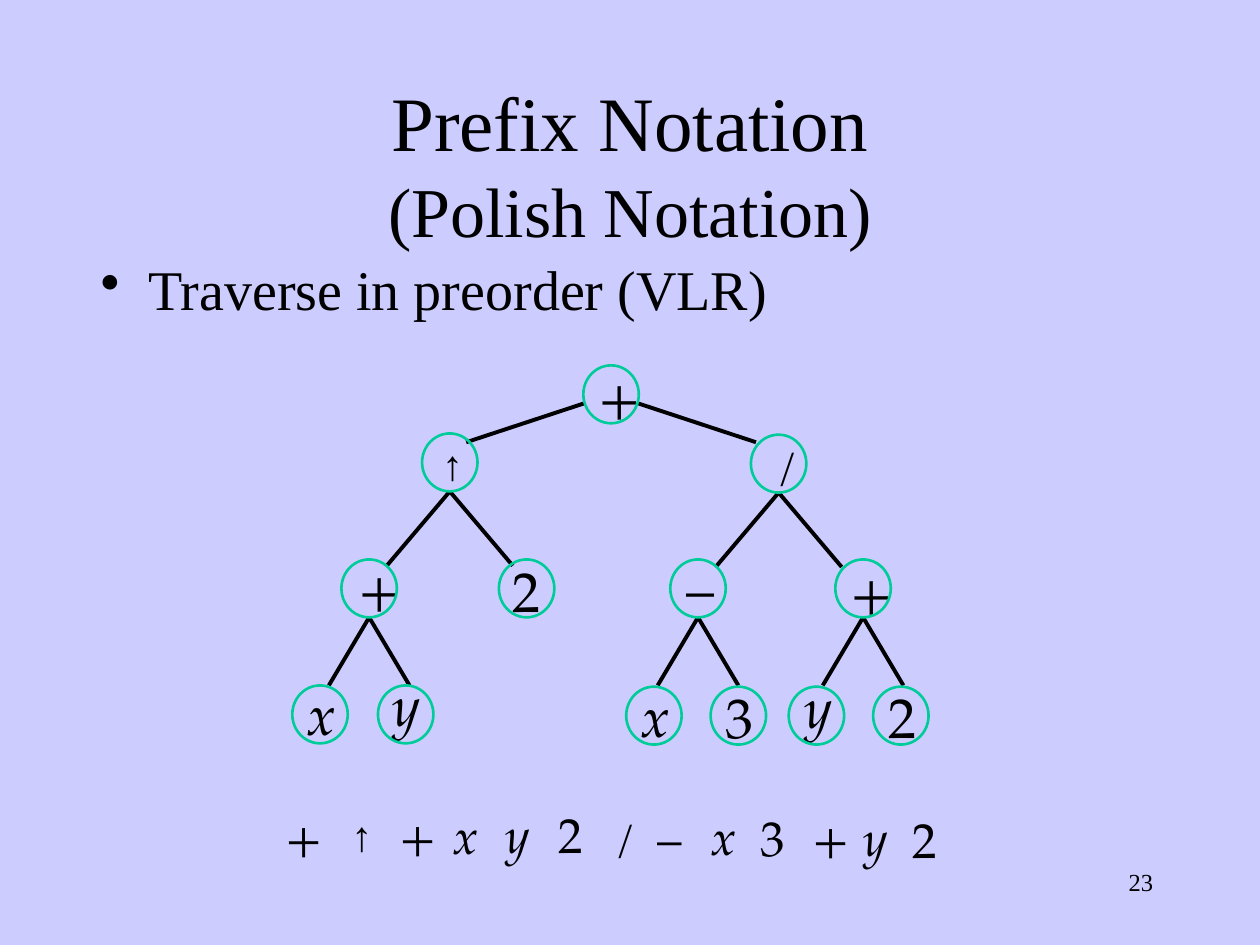
from dataclasses import dataclass

from lxml.etree import SubElement
from pptx import Presentation
from pptx.dml.color import RGBColor
from pptx.enum.shapes import MSO_CONNECTOR as Connector, MSO_SHAPE as Shape
from pptx.enum.text import MSO_ANCHOR as Anchor, MSO_AUTO_SIZE as AutoSize, PP_ALIGN as Align
from pptx.oxml.ns import qn
from pptx.util import Inches, Pt


@dataclass(frozen=True)
class Theme:
    background: RGBColor = RGBColor(0xCC, 0xCC, 0xFF)
    ink: RGBColor = RGBColor(0, 0, 0)
    ring: RGBColor = RGBColor(0x00, 0xCC, 0x99)
    body_font: str = "Times New Roman"
    math_font: str = "TeX Gyre Pagella"
    arrow_font: str = "Arial"
    title: int = 44
    subtitle: int = 40
    body: int = 32
    node: int = 32
    token: int = 28
    small_operator: int = 24
    page: int = 14
    ring_width: float = 1.5
    edge_width: float = 2.25


THEME = Theme()
COLUMNS, ROWS = 100, 75
NODE_WIDTH, NODE_HEIGHT = 4.4, 4.6
ADVANCE = {"↑": 0.4, "/": 0.27, "–": 0.5, "y": 0.53, "x": 0.55}

# glyph, column, row, label shift right, label shift up, children
TREE = ("+", 23.1, 0, 0.2, 0.8, [
    ("↑", 10.3, 5.4, 0.6, 0.1, [
        ("+", 3.9, 15.4, 0.4, 1.0, [
            ("x", 0, 25.4, 0.2, 1.0, []),
            ("y", 6.8, 25.4, 0.2, 1.7, [])]),
        ("2", 16.4, 15.4, 0.1, 0.7, [])]),
    ("/", 36.4, 5.5, 1.1, 0.2, [
        ("–", 30, 15.4, 0.3, 1.0, [
            ("x", 26.5, 25.5, 0.2, 0.9, []),
            ("3", 33.2, 25.5, 0.2, 0.8, [])]),
        ("+", 43.1, 15.4, 0.2, 0.7, [
            ("y", 39.4, 25.5, 0.3, 1.6, []),
            ("2", 46.1, 25.5, 0.2, 0.8, [])])])])

# start spread, start drop, end spread, end drop
EDGE_LEVELS = [(2.1, 3.0, 11.5, 6.1), (0, 4.6, 5, 10.5), (0, 4.6, 3.2, 10)]

EXPRESSION = [("+", 0, 0.2, True), ("↑", 5.2, 0.4, False), ("+", 9, 0.1, True),
              ("x", 13.2, 0.1, True), ("y", 17.4, 0, True), ("2", 21.5, 0, False),
              ("/", 26.2, 0.5, False), ("–", 29.5, 0.3, False), ("x", 33.7, 0.2, True),
              ("3", 37.5, 0.3, False), ("+", 41.8, 0.3, False), ("y", 45.8, 0.3, True),
              ("2", 49.6, 0.4, False)]


def grid(*lengths):
    return [Inches(length * 10 / COLUMNS) for length in lengths]


def style(run, size, font=THEME.body_font, italic=False):
    run.font.size = Pt(size)
    run.font.name = font
    run.font.italic = italic
    run.font.color.rgb = THEME.ink


def add_glyph(parent, glyph, column, row, size, italic=False, centred=False):
    if glyph in "↑/":
        size = THEME.small_operator
    width = 2 + ADVANCE.get(glyph, 0.56) * size / 7.2
    height = 1 + 1.21 * size / 7.2
    label = parent.add_textbox(*grid(column, row, width, height))
    frame = label.text_frame
    frame.word_wrap = False
    frame.auto_size = AutoSize.SHAPE_TO_FIT_TEXT
    frame.text = glyph
    paragraph = frame.paragraphs[0]
    if centred:
        frame.vertical_anchor = Anchor.MIDDLE
        paragraph.alignment = Align.CENTER
    font = THEME.arrow_font if glyph == "↑" else THEME.math_font
    style(paragraph.runs[0], size, font, italic)


def add_edge(group, *ends):
    edge = group.add_connector(Connector.STRAIGHT, *grid(*ends))
    edge.line.color.rgb = THEME.ink
    edge.line.width = Pt(THEME.edge_width)
    SubElement(edge._element.spPr, qn("a:effectLst"))


def add_node(group, left, top, node, level=0):
    glyph, column, row, right, up, children = node
    x, y = left + column, top + row
    add_glyph(group, glyph, x + right, y - up, THEME.node, italic=glyph in "xy")
    centre = x + NODE_WIDTH / 2
    for side, child in zip((-1, 1), children):
        start, start_drop, end, end_drop = EDGE_LEVELS[level]
        add_edge(group, centre + side * start, y + start_drop,
                 centre + side * end, y + end_drop)
        add_node(group, left, top, child, level + 1)
    ring = group.add_shape(Shape.OVAL, *grid(x, y, NODE_WIDTH, NODE_HEIGHT))
    ring.shadow.inherit = False
    ring.fill.background()
    ring.line.color.rgb = THEME.ring
    ring.line.width = Pt(THEME.ring_width)


def add_tree(slide, left, top):
    add_node(slide.shapes.add_group_shape().shapes, left, top, TREE)


def add_expression(slide, left, top):
    for glyph, column, row, italic in EXPRESSION:
        add_glyph(slide.shapes, glyph, left + column, top + row, THEME.token, italic, True)


def set_title(slide, *box):
    title = slide.shapes.title
    title.left, title.top, title.width, title.height = grid(*box)
    frame = title.text_frame
    frame.auto_size = AutoSize.NONE
    frame.vertical_anchor = Anchor.MIDDLE
    frame.text = "Prefix Notation\v(Polish Notation)"
    paragraph = frame.paragraphs[0]
    paragraph.alignment = Align.CENTER
    for run, size in zip(paragraph.runs, (THEME.title, THEME.subtitle)):
        style(run, size)


def add_line_of_text(slide, text, size, *box):
    frame = slide.shapes.add_textbox(*grid(*box)).text_frame
    frame.word_wrap = True
    frame.text = text
    paragraph = frame.paragraphs[0]
    style(paragraph.runs[0], size)
    return paragraph


def add_bullet(slide, *box):
    bullet = add_line_of_text(slide, "Traverse in preorder (VLR)", THEME.body, *box)
    bullet.line_spacing = 0.9
    bullet.space_before = Pt(8)
    properties = bullet._p.get_or_add_pPr()
    properties.set("marL", str(Inches(0.38)))
    properties.set("indent", str(-Inches(0.38)))
    SubElement(properties, qn("a:buChar"), char="•")


def add_page_number(slide, *box):
    number = add_line_of_text(slide, "23", THEME.page, *box)
    number.alignment = Align.RIGHT


def main():
    deck = Presentation()
    deck.slide_width, deck.slide_height = grid(COLUMNS, ROWS)
    slide = deck.slides.add_slide(deck.slide_layouts[5])
    slide.background.fill.solid()
    slide.background.fill.fore_color.rgb = THEME.background
    set_title(slide, 7.5, 6.7, 85, 12.5)
    add_bullet(slide, 7, 20.3, 61.3, 5.6)
    add_tree(slide, 23.2, 29)
    add_expression(slide, 21.7, 63.3)
    add_page_number(slide, 71.7, 68.3, 20.8, 5)
    deck.save("out.pptx")


if __name__ == "__main__":
    main()
